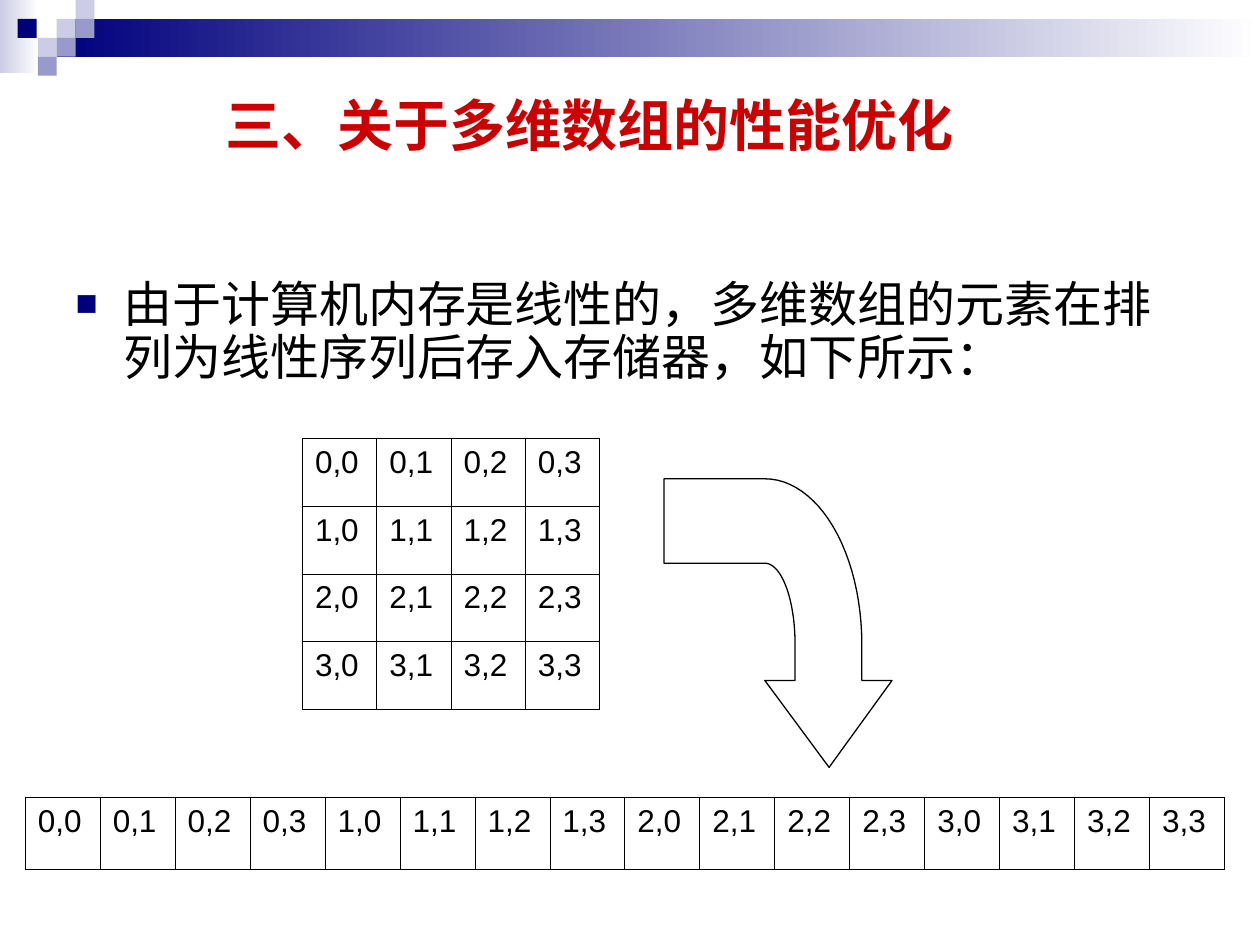
import dataclasses
import math

import pptx
import pptx.dml.color
import pptx.enum.shapes
import pptx.enum.text
import pptx.oxml
import pptx.oxml.ns
import pptx.util
from pptx.util import Inches


@dataclasses.dataclass(frozen=True)
class Theme:
    font: str = "Arial"
    black: str = "000000"
    white: str = "FFFFFF"
    red: str = "CC0000"
    navy: str = "00007D"
    violet: str = "9999CC"
    lavender: str = "CCCCE6"
    title_size: int = 32
    body_size: int = 28
    cell_size: int = 18
    border: float = 0.45
    outline: float = 0.75


@dataclasses.dataclass(frozen=True)
class Block:
    """A plain rectangle; a fading one turns white toward its right end."""
    left: float
    top: float
    width: float
    height: float
    color: str
    fading: bool = False


@dataclasses.dataclass(frozen=True)
class Grid:
    left: float
    top: float
    width: float
    height: float
    rows: list[list[str]]


THEME = Theme()
UNIT = 0.15  # side of the small header squares

HEADER = [
    Block(0, 0, 0.31, 0.58, THEME.lavender, fading=True),
    Block(0.45, 0.15, 9.55, 0.3, THEME.navy, fading=True),
    Block(0.14, 0.15, UNIT, UNIT, THEME.navy),
] + [
    Block(column * UNIT, row * UNIT, UNIT, UNIT, color)
    for column, row, color in [
        (3, 1, THEME.lavender), (4, 0, THEME.lavender), (4, 1, THEME.violet),
        (2, 2, THEME.lavender), (3, 2, THEME.violet), (2, 3, THEME.violet),
    ]
]

# The matrix, and the same elements in one row
MATRIX = [[f"{row},{column}" for column in range(4)] for row in range(4)]
GRIDS = [
    Grid(2.4, 3.48, 2.36, 2.15, MATRIX),
    Grid(0.2, 6.33, 9.52, 0.57, [sum(MATRIX, [])]),
]


def rgb(color: str) -> pptx.dml.color.RGBColor:
    return pptx.dml.color.RGBColor.from_string(color)


def write_text(frame, text: str, *, size: float, color: str = THEME.black,
               bold: bool = False, spacing: float = 1.0, bullet: str = "",
               anchor=pptx.enum.text.MSO_ANCHOR.TOP) -> None:
    frame.word_wrap = True
    frame.auto_size = pptx.enum.text.MSO_AUTO_SIZE.NONE
    frame.vertical_anchor = anchor
    para = frame.paragraphs[0]
    para.alignment = pptx.enum.text.PP_ALIGN.LEFT
    para.line_spacing = spacing
    para.space_before = pptx.util.Pt(0)
    if bullet:
        add_bullet(para, bullet, indent=0.38)
    span = para.add_run()
    span.text = text
    span.font.name = THEME.font
    span.font.size = pptx.util.Pt(size)
    span.font.bold = bold
    span.font.color.rgb = rgb(color)


def add_bullet(para, mark: str, *, indent: float) -> None:
    properties = para._p.get_or_add_pPr()
    properties.set("marL", str(Inches(indent)))
    properties.set("indent", str(-Inches(indent)))
    namespace = pptx.oxml.ns.nsdecls("a")
    for element in (
        f'<a:buClr {namespace}><a:srgbClr val="{THEME.navy}"/></a:buClr>',
        f'<a:buSzPct {namespace} val="75000"/>',
        f'<a:buFont {namespace} typeface="{THEME.font}"/>',
        f'<a:buChar {namespace} char="{mark}"/>',
    ):
        properties.append(pptx.oxml.parse_xml(element))


def place(shape, left: float, top: float, width: float, height: float) -> None:
    shape.left, shape.top = Inches(left), Inches(top)
    shape.width, shape.height = Inches(width), Inches(height)


def draw_block(page, block: Block) -> None:
    shape = page.shapes.add_shape(
        pptx.enum.shapes.MSO_SHAPE.RECTANGLE, Inches(block.left),
        Inches(block.top), Inches(block.width), Inches(block.height))
    shape.shadow.inherit = False
    shape.line.fill.background()
    if block.fading:
        shape.fill.gradient()
        shape.fill.gradient_angle = 0
        for stop, color in zip(shape.fill.gradient_stops, (block.color, THEME.white)):
            stop.color.rgb = rgb(color)
    else:
        shape.fill.solid()
        shape.fill.fore_color.rgb = rgb(block.color)


def border_cell(cell) -> None:
    properties = cell._tc.get_or_add_tcPr()
    for side in ("lnL", "lnR", "lnT", "lnB"):
        properties.append(pptx.oxml.parse_xml(
            f'<a:{side} {pptx.oxml.ns.nsdecls("a")} w="{pptx.util.Pt(THEME.border)}">'
            f'<a:solidFill><a:srgbClr val="{THEME.black}"/></a:solidFill></a:{side}>'))


def draw_grid(page, grid: Grid) -> None:
    row_count, column_count = len(grid.rows), len(grid.rows[0])
    table = page.shapes.add_table(
        row_count, column_count, Inches(grid.left), Inches(grid.top),
        Inches(grid.width), Inches(grid.height)).table
    table.first_row = table.horz_banding = False
    for row, labels in enumerate(grid.rows):
        for column, label in enumerate(labels):
            cell = table.cell(row, column)
            write_text(cell.text_frame, label, size=THEME.cell_size)
            border_cell(cell)
            cell.fill.background()


def quarter_arc(center: tuple[float, float], radii: tuple[float, float],
                steps: int = 24) -> list[tuple[float, float]]:
    """Points from the top of an ellipse to its right end."""
    angles = [math.pi / 2 * step / steps for step in range(steps + 1)]
    return [(center[0] + radii[0] * math.sin(angle),
             center[1] - radii[1] * math.cos(angle)) for angle in angles]


def draw_bent_arrow(page) -> None:
    center = (6.07, 5.11)
    outer = quarter_arc(center, (0.77, 1.31))
    inner = quarter_arc(center, (0.24, 0.64))
    head = [(6.84, 5.4), (7.08, 5.4), (6.58, 6.09), (6.07, 5.4), (6.31, 5.4)]
    points = [(5.27, 3.8), *outer, *head, *reversed(inner), (5.27, 4.47)]
    corners = [(Inches(x), Inches(y)) for x, y in points]
    builder = page.shapes.build_freeform(*corners[0])
    builder.add_line_segments(corners[1:], close=True)
    arrow = builder.convert_to_shape()
    arrow.shadow.inherit = False
    arrow.fill.background()
    arrow.line.color.rgb = rgb(THEME.black)
    arrow.line.width = pptx.util.Pt(THEME.outline)


def main() -> None:
    deck = pptx.Presentation()
    deck.slide_width, deck.slide_height = Inches(10), Inches(7.5)
    page = deck.slides.add_slide(deck.slide_layouts[1])

    # Header band
    for block in HEADER:
        draw_block(page, block)

    # Title and body
    title, body = page.shapes.title, page.placeholders[1]
    place(title, 1.69, 0.6, 6.47, 0.77)
    write_text(title.text_frame, "三、关于多维数组的性能优化", size=THEME.title_size,
               color=THEME.red, bold=True, anchor=pptx.enum.text.MSO_ANCHOR.MIDDLE)
    place(body, 0.5, 2.17, 8.99, 0.99)
    write_text(body.text_frame,
               "由于计算机内存是线性的，多维数组的元素在排列为线性序列后存入存储器，如下所示：",
               size=THEME.body_size, spacing=0.9, bullet="■")

    # Matrix, its linear layout, and the arrow between them
    for grid in GRIDS:
        draw_grid(page, grid)
    draw_bent_arrow(page)

    deck.save("out.pptx")


if __name__ == "__main__":
    main()
